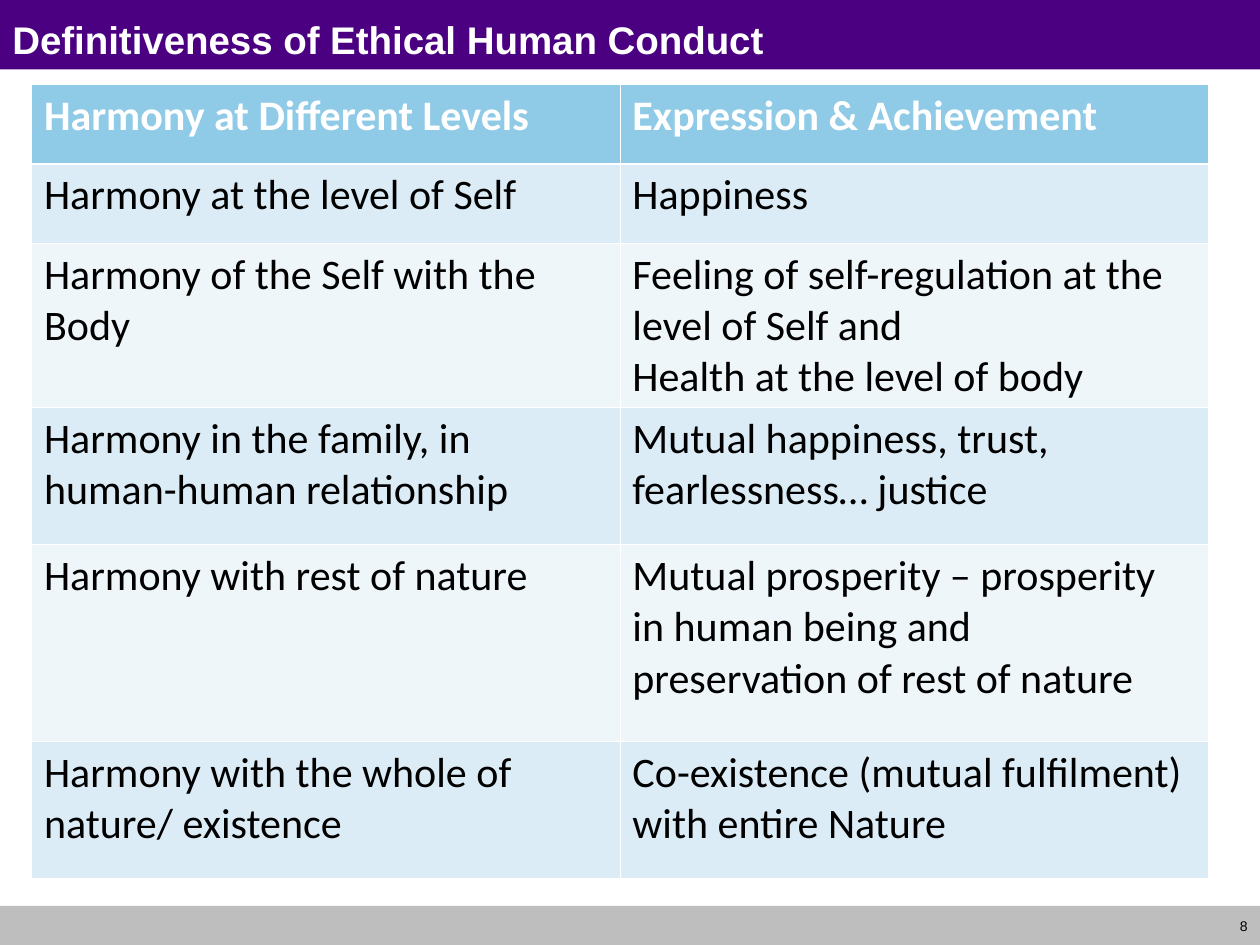
import pptx
import pptx.dml.color
import pptx.enum.shapes
import pptx.enum.text
import pptx.oxml
import pptx.oxml.ns
import pptx.util

RGBColor = pptx.dml.color.RGBColor
Inches = pptx.util.Inches
Pt = pptx.util.Pt
PP_ALIGN = pptx.enum.text.PP_ALIGN
MSO_ANCHOR = pptx.enum.text.MSO_ANCHOR

INDIGO = RGBColor(0x4B, 0x00, 0x82)
GRAY = RGBColor(0xBE, 0xBE, 0xBE)
WHITE = RGBColor(0xFF, 0xFF, 0xFF)
BLACK = RGBColor(0x00, 0x00, 0x00)
HEADER_BLUE = RGBColor(0x8F, 0xCA, 0xE7)
BAND_BLUES = (RGBColor(0xEE, 0xF6, 0xFA), RGBColor(0xDB, 0xEC, 0xF6))

WIDTH, HEIGHT = 10, 7.5
FOOTER_TOP = 7.19
FOOTER_HEIGHT = HEIGHT - FOOTER_TOP
COLUMN_WIDTH = 4.67
ROW_HEIGHTS = (0.63, 0.63, 1.3, 1.09, 1.56, 1.09)
THIN, THICK = 0.45, 1.47

TITLE_FONT = {"name": "Arial", "size": Pt(22), "bold": True}
NUMBER_FONT = {"name": "Arial", "size": Pt(8), "bold": False}
HEADER_FONT = {"name": "Calibri", "size": Pt(24), "bold": True}
BODY_FONT = {"name": "Calibri", "size": Pt(24), "bold": False}

ROWS = (
    ("Harmony at Different Levels", "Expression & Achievement"),
    ("Harmony at the level of Self", "Happiness"),
    ("Harmony of the Self with the Body",
     "Feeling of self-regulation at the level of Self and\n"
     "Health at the level of body"),
    ("Harmony in the family, in human-human relationship",
     "Mutual happiness, trust, fearlessness… justice"),
    ("Harmony with rest of nature",
     "Mutual prosperity – prosperity in human being and "
     "preservation of rest of nature"),
    ("Harmony with the whole of nature/ existence",
     "Co-existence (mutual fulfilment) with entire Nature"),
)


def write_text(tf, text, font, color, align=PP_ALIGN.LEFT):
    """Fill a text frame, one paragraph per line of text."""
    tf.word_wrap = True
    tf.text = text
    for p in tf.paragraphs:
        p.alignment = align
        for r in p.runs:
            for key, value in font.items():
                setattr(r.font, key, value)
            r.font.color.rgb = color


def add_bar(s, top, height, color):
    """Add a plain band across the whole slide."""
    sp = s.shapes.add_shape(pptx.enum.shapes.MSO_SHAPE.RECTANGLE, 0,
                            Inches(top), Inches(WIDTH), Inches(height))
    sp.shadow.inherit = False
    sp.fill.solid()
    sp.fill.fore_color.rgb = color
    sp.line.fill.background()


def add_label(s, box, text, font, color, align=PP_ALIGN.LEFT,
              anchor=MSO_ANCHOR.TOP):
    sp = s.shapes.add_textbox(*map(Inches, box))
    sp.text_frame.vertical_anchor = anchor
    write_text(sp.text_frame, text, font, color, align)


def set_borders(cell, widths):
    """Draw white cell borders; widths in points by side (L, R, T, B)."""
    tc_pr = cell._tc.get_or_add_tcPr()
    for i, (side, width) in enumerate(widths.items()):
        tc_pr.insert(i, pptx.oxml.parse_xml(
            f'<a:ln{side} {pptx.oxml.ns.nsdecls("a")} w="{Pt(width)}">'
            f'<a:solidFill><a:srgbClr val="{WHITE}"/></a:solidFill>'
            f'</a:ln{side}>'))


def add_harmony_table(s, left, top):
    columns = len(ROWS[0])
    table = s.shapes.add_table(
        len(ROWS), columns, Inches(left), Inches(top),
        Inches(columns * COLUMN_WIDTH), Inches(sum(ROW_HEIGHTS))).table
    for column in table.columns:
        column.width = Inches(COLUMN_WIDTH)
    for i, (texts, height) in enumerate(zip(ROWS, ROW_HEIGHTS)):
        table.rows[i].height = Inches(height)
        header = i == 0
        for j, text in enumerate(texts):
            cell = table.cell(i, j)
            cell.fill.solid()
            cell.fill.fore_color.rgb = HEADER_BLUE if header else BAND_BLUES[i % 2]
            set_borders(cell, {"L": THIN, "R": THIN,
                               "T": THICK if i == 1 else THIN,
                               "B": THICK if header else THIN})
            write_text(cell.text_frame, text,
                       HEADER_FONT if header else BODY_FONT,
                       WHITE if header else BLACK)


def main():
    prs = pptx.Presentation()
    prs.slide_width, prs.slide_height = Inches(WIDTH), Inches(HEIGHT)
    s = prs.slides.add_slide(prs.slide_layouts[6])
    add_bar(s, 0, 0.55, INDIGO)
    add_bar(s, FOOTER_TOP, FOOTER_HEIGHT, GRAY)
    add_label(s, (9.53, FOOTER_TOP, 0.47, FOOTER_HEIGHT), "8", NUMBER_FONT,
              BLACK, PP_ALIGN.RIGHT, MSO_ANCHOR.MIDDLE)
    add_label(s, (0, 0.08, WIDTH, 0.42),
              "Definitiveness of Ethical Human Conduct", TITLE_FONT, WHITE)
    add_harmony_table(s, 0.25, 0.67)
    prs.save("out.pptx")


if __name__ == "__main__":
    main()
